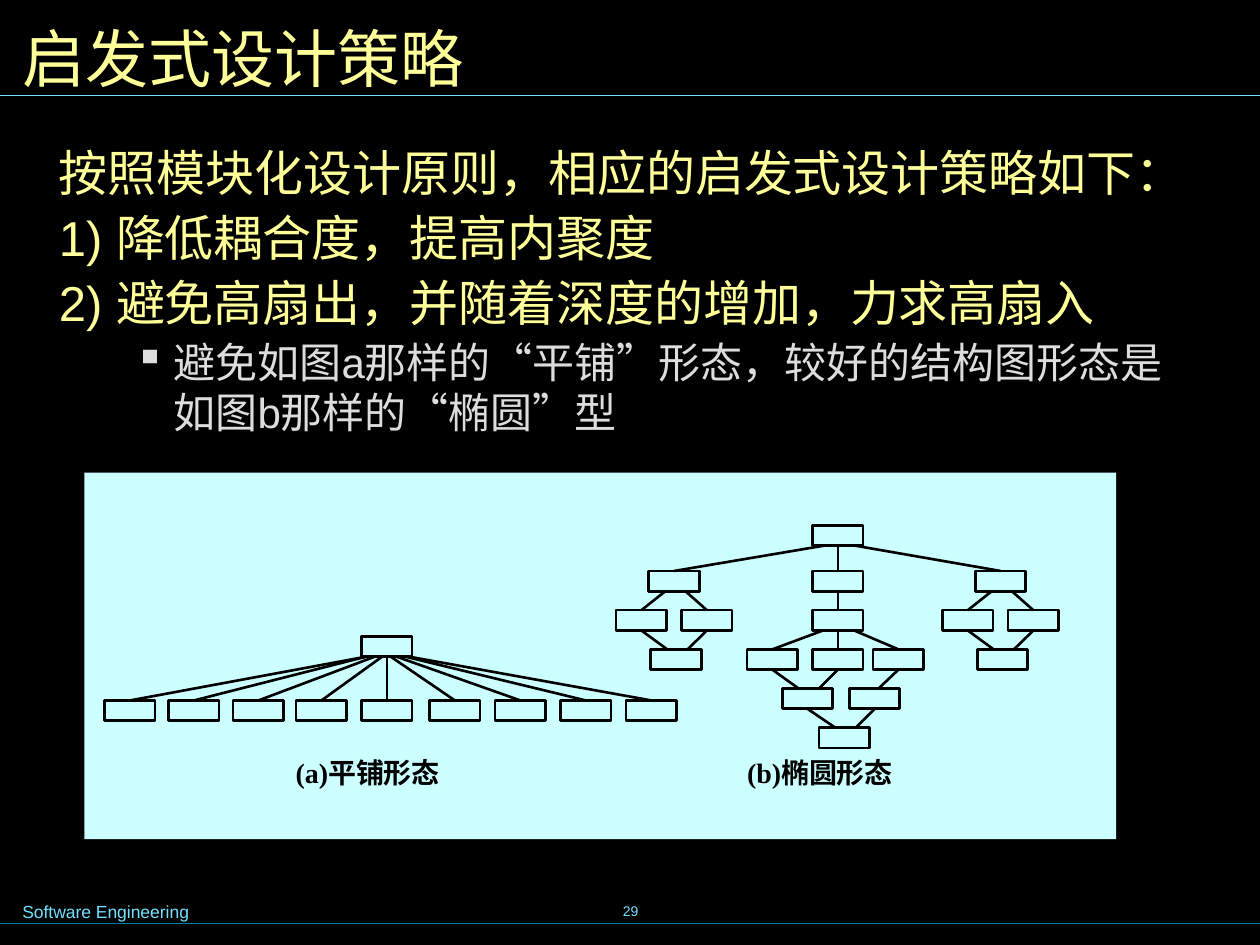
from lxml import etree
from pptx import Presentation
from pptx.dml.color import RGBColor
from pptx.enum import shapes, text
from pptx.oxml import ns
from pptx.util import Cm, Pt

BLACK = RGBColor(0x00, 0x00, 0x00)
YELLOW = RGBColor(0xFF, 0xFF, 0x99)
GREY = RGBColor(0xDD, 0xDD, 0xDD)
SKY = RGBColor(0x73, 0xE1, 0xFF)
TEAL = RGBColor(0x00, 0x7E, 0x9F)
PALE = RGBColor(0xCC, 0xFF, 0xFF)

# Content
TITLE = "启发式设计策略"
POINTS = [
    "按照模块化设计原则，相应的启发式设计策略如下：",
    "1) 降低耦合度，提高内聚度",
    "2) 避免高扇出，并随着深度的增加，力求高扇入",
]
DETAIL = "避免如图a那样的“平铺”形态，较好的结构图形态是如图b那样的“椭圆”型"
CAPTIONS = [("(a)平铺形态", 5.71), ("(b)椭圆形态", 14.81)]
FOOTER, PAGE = "Software Engineering", "29"

# Module boxes, name: (left, top) in cm
BOX_W, BOX_H = 1.02, 0.41
ROWS = [round(11.51 + 0.79 * level, 2) for level in range(5)]
FLAT_LEFTS = [2.11, 3.4, 4.7, 5.97, 7.29, 8.66, 9.98, 11.3, 12.62]
FLAT_OFFSETS = [-0.43, -0.43, -0.25, -0.1, 0, 0.08, 0.2, 0.38, 0.46]
WINGS = {"west": 13.08, "east": 19.66}
FORK = (-0.18, 0.23)

modules = {
    "flat": (7.29, 12.83),
    "oval": (16.38, 10.59),
    "core": (16.38, ROWS[0]),
    "hub": (16.38, ROWS[1]),
    "hub left": (15.06, ROWS[2]),
    "hub middle": (16.38, ROWS[2]),
    "hub right": (17.6, ROWS[2]),
    "join left": (15.77, ROWS[3]),
    "join right": (17.12, ROWS[3]),
    "base": (16.51, ROWS[4]),
}
# Calls: (module, offset from its centre in cm, module joined mid-side)
calls = [
    ("oval", -0.28, "west top"), ("oval", 0, "core"), ("oval", 0.35, "east top"),
    ("core", 0, "hub"),
    ("hub", -0.3, "hub left"), ("hub", 0, "hub middle"), ("hub", 0.33, "hub right"),
    ("join left", FORK[0], "hub left"), ("join left", FORK[1], "hub middle"),
    ("join right", 0.08, "hub right"),
    ("base", FORK[0], "join left"), ("base", FORK[1], "join right"),
]
for number, (left, offset) in enumerate(zip(FLAT_LEFTS, FLAT_OFFSETS)):
    modules[f"flat {number}"] = (left, 14.12)
    calls.append(("flat", offset, f"flat {number}"))
for wing, left in WINGS.items():
    modules[f"{wing} top"] = (left, ROWS[0])
    modules[f"{wing} bottom"] = (left + 0.04, ROWS[2])
    for side, shift, offset in zip(("left", "right"), (-0.66, 0.66), FORK):
        modules[f"{wing} {side}"] = (left + shift, ROWS[1])
        for end in ("top", "bottom"):
            calls.append((f"{wing} {end}", offset, f"{wing} {side}"))


def style(paragraph, size, font, color, bold=False):
    paragraph.font.size = Pt(size)
    paragraph.font.name = font
    paragraph.font.color.rgb = color
    paragraph.font.bold = bold


def add_text(slide, words, place, size, font, color, bold=False, align=None):
    frame = slide.shapes.add_textbox(*map(Cm, place)).text_frame
    frame.word_wrap = True
    paragraph = frame.paragraphs[0]
    paragraph.text = words
    paragraph.alignment = align
    style(paragraph, size, font, color, bold)
    return frame


def add_box(slide, place):
    box = slide.shapes.add_shape(shapes.MSO_SHAPE.RECTANGLE, *map(Cm, place))
    box.shadow.inherit = False
    return box


def add_line(slide, start, end, color, width):
    line = slide.shapes.add_connector(
        shapes.MSO_CONNECTOR.STRAIGHT, *map(Cm, start + end))
    line.line.color.rgb = color
    line.line.width = Pt(width)
    etree.SubElement(line._element.spPr, ns.qn("a:effectLst"))
    return line


def add_bullet(paragraph, mark, color):
    props = paragraph._p.get_or_add_pPr()
    props.set("marL", str(Cm(2.31)))
    props.set("indent", str(Cm(-0.79)))
    tint = etree.SubElement(props, ns.qn("a:buClr"))
    etree.SubElement(tint, ns.qn("a:srgbClr"), val=str(color))
    etree.SubElement(props, ns.qn("a:buChar"), char=mark)


def add_call(slide, boxes, source, offset, target):
    (x1, y1), (x2, y2) = modules[source], modules[target]
    down = y1 < y2
    start = (x1 + BOX_W / 2 + offset, y1 + BOX_H * down)
    end = (x2 + BOX_W / 2, y2 + BOX_H * (not down))
    line = add_line(slide, start, end, BLACK, 1.5)
    if offset == 0:
        line.begin_connect(boxes[source], 2 if down else 0)
    line.end_connect(boxes[target], 0 if down else 2)


def main():
    deck = Presentation()
    deck.slide_width, deck.slide_height = Cm(25.4), Cm(19.05)
    slide = deck.slides.add_slide(deck.slide_layouts[5])
    slide.background.fill.solid()
    slide.background.fill.fore_color.rgb = BLACK

    # Rules, footer and page number
    add_line(slide, (0, 18.62), (25.5, 18.62), TEAL, 0.75)
    add_line(slide, (0, 1.93), (25.4, 1.93), SKY, 0.75)
    add_text(slide, FOOTER, (0.2, 18.03, 7.49, 0.69), 10, "Arial", SKY)
    page = add_text(slide, PAGE, (8.69, 17.73, 8.05, 1.27), 8, "Arial", SKY,
                    align=text.PP_ALIGN.CENTER)
    page.vertical_anchor = text.MSO_ANCHOR.MIDDLE

    # Title
    title = slide.shapes.title
    title.left, title.top, title.width, title.height = map(Cm, (0.2, 0.2, 25, 1.9))
    title.text_frame.text = TITLE
    title.text_frame.auto_size = text.MSO_AUTO_SIZE.NONE
    title.text_frame.vertical_anchor = text.MSO_ANCHOR.MIDDLE
    heading = title.text_frame.paragraphs[0]
    heading.alignment = text.PP_ALIGN.LEFT
    style(heading, 36, "Arial Narrow", YELLOW)

    # Strategies
    body = add_text(slide, POINTS[0], (0.89, 2.72, 23.6, 7.62), 28, "Arial", YELLOW)
    body.margin_left = body.margin_right = Cm(0.3)
    body.margin_top = body.margin_bottom = Cm(0.15)
    for point in POINTS[1:]:
        paragraph = body.add_paragraph()
        paragraph.text = point
        paragraph.space_before = Pt(3.5)
        style(paragraph, 28, "Arial", YELLOW)
    detail = body.add_paragraph()
    detail.text = DETAIL
    detail.level = 1
    add_bullet(detail, "▪", GREY)
    detail.space_before = Pt(3)
    style(detail, 24, "Arial", GREY)

    # Diagram panel
    panel = add_box(slide, (1.7, 9.53, 20.8, 7.39))
    panel.fill.solid()
    panel.fill.fore_color.rgb = PALE
    panel.line.fill.background()

    # Modules and calls
    boxes = {}
    for name, corner in modules.items():
        box = boxes[name] = add_box(slide, corner + (BOX_W, BOX_H))
        box.fill.background()
        box.line.color.rgb = BLACK
        box.line.width = Pt(1.5)
    for call in calls:
        add_call(slide, boxes, *call)

    # Captions
    for caption, left in CAPTIONS:
        add_text(slide, caption, (left, 15.11, 4.5, 0.97), 16, "Times New Roman",
                 BLACK, bold=True, align=text.PP_ALIGN.JUSTIFY)

    deck.save("out.pptx")


if __name__ == "__main__":
    main()
